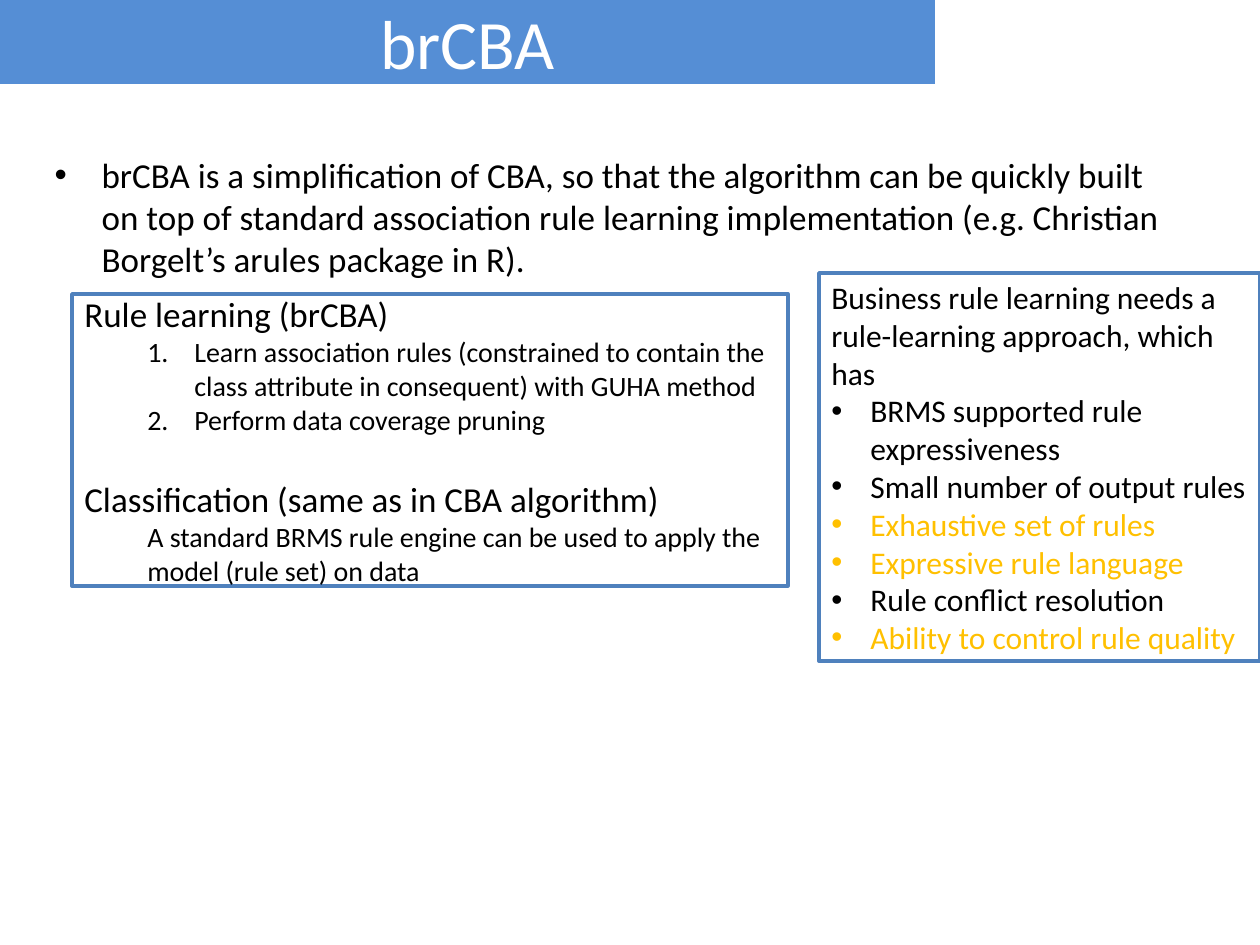
from dataclasses import dataclass

import pptx
import pptx.util
import pptx.dml.color
import pptx.enum.shapes
import pptx.enum.text
from lxml import etree

PX = 914400 / 126  # EMU per px
A = "{http://schemas.openxmlformats.org/drawingml/2006/main}"
ANCHOR = pptx.enum.text.MSO_ANCHOR
ALIGN = pptx.enum.text.PP_ALIGN


@dataclass(frozen=True)
class Theme:
    font: str = "Calibri"
    banner: str = "558ED5"
    border: str = "4F81BD"
    paper: str = "FFFFFF"
    ink: str = "000000"
    accent: str = "FFC000"
    title: float = 39.6
    body: int = 20
    needs: int = 18
    detail: int = 16
    border_width: int = 2


def emu(px):
    return pptx.util.Emu(round(px * PX))


def rgb(value):
    return pptx.dml.color.RGBColor.from_string(value)


class Deck:
    def __init__(self, theme):
        self.theme = theme
        self.prs = pptx.Presentation()
        self.prs.slide_width, self.prs.slide_height = emu(1260), emu(945)
        self.s = self.prs.slides.add_slide(self.prs.slide_layouts[1])

    def place(self, sp, box):
        for name, px in zip(("left", "top", "width", "height"), box):
            setattr(sp, name, emu(px))

    def paragraph(self, p, text, size, color=None, bullet=None, margin=0,
                  indent=0, before=0, align=ALIGN.LEFT):
        pPr = p._p.get_or_add_pPr()
        pPr.set("marL", str(emu(margin)))
        pPr.set("indent", str(emu(indent)))
        if bullet == "number":
            etree.SubElement(pPr, A + "buFont", typeface="+mj-lt")
            etree.SubElement(pPr, A + "buAutoNum", type="arabicPeriod")
        elif bullet:
            etree.SubElement(pPr, A + "buFont", typeface="Arial")
            etree.SubElement(pPr, A + "buChar", char=bullet)
        else:
            etree.SubElement(pPr, A + "buNone")
        p.alignment, p.space_before = align, pptx.util.Pt(before)
        r = p.add_run()
        r.text = text
        style = {"name": self.theme.font, "size": pptx.util.Pt(size)}
        for name, value in style.items():
            setattr(r.font, name, value)
        r.font.color.rgb = rgb(color or self.theme.ink)

    def fill_text(self, sp, rows, anchor):
        tf = sp.text_frame
        frame = {"word_wrap": True, "vertical_anchor": anchor,
                 "auto_size": pptx.enum.text.MSO_AUTO_SIZE.NONE}
        for name, value in frame.items():
            setattr(tf, name, value)
        for i, row in enumerate(rows):
            p = tf.add_paragraph() if i else tf.paragraphs[0]
            self.paragraph(p, **row)

    def title(self, text, box):
        sp = self.s.shapes.title
        self.place(sp, box)
        sp.fill.solid()
        sp.fill.fore_color.rgb = rgb(self.theme.banner)
        row = dict(text=text, size=self.theme.title, color=self.theme.paper,
                   align=ALIGN.CENTER)
        self.fill_text(sp, [row], ANCHOR.MIDDLE)

    def body(self, rows, box):
        sp = self.s.placeholders[1]
        self.place(sp, box)
        self.fill_text(sp, rows, ANCHOR.TOP)

    def panel(self, rows, box):
        sp = self.s.shapes.add_shape(
            pptx.enum.shapes.MSO_SHAPE.RECTANGLE, *map(emu, box))
        sp.shadow.inherit = False
        sp.fill.solid()
        sp.fill.fore_color.rgb = rgb(self.theme.paper)
        sp.line.color.rgb = rgb(self.theme.border)
        sp.line.width = pptx.util.Pt(self.theme.border_width)
        self.fill_text(sp, rows, ANCHOR.MIDDLE)


def main():
    t = Theme()
    deck = Deck(t)

    # Title banner
    deck.title("brCBA", (0, 0, 935, 84))

    # Introduction
    deck.body([dict(
        text="brCBA is a simplification of CBA, so that the algorithm can be "
             "quickly built on top of standard association rule learning "
             "implementation (e.g. Christian Borgelt’s arules package in R).",
        size=t.body, bullet="•", margin=47, indent=-47)], (42, 147, 1134, 396))

    # Learning and classification steps
    step = dict(size=t.detail, bullet="number", margin=110, indent=-47)
    deck.panel([
        dict(text="Rule learning (brCBA)", size=t.body),
        dict(text="Learn association rules (constrained to contain the class "
                  "attribute in consequent) with GUHA method", **step),
        dict(text="Perform data coverage pruning", **step),
        dict(text="Classification (same as in CBA algorithm)", size=t.body,
             before=24),
        dict(text="A standard BRMS rule engine can be used to apply the model "
                  "(rule set) on data", size=t.detail, margin=63),
    ], (72, 294, 716, 292))

    # Business rule learning needs, some in the accent colour
    needs = [
        ("BRMS supported rule expressiveness", t.ink),
        ("Small number of output rules", t.ink),
        ("Exhaustive set of rules", t.accent),
        ("Expressive rule language", t.accent),
        ("Rule conflict resolution", t.ink),
        ("Ability to control rule quality", t.accent),
    ]
    lead = dict(text="Business rule learning needs a rule-learning approach, "
                     "which has", size=t.needs)
    deck.panel([lead] + [
        dict(text=text, size=t.needs, color=color, bullet="•", margin=39,
             indent=-39) for text, color in needs
    ], (819, 273, 441, 388))

    deck.prs.save("out.pptx")


if __name__ == "__main__":
    main()
